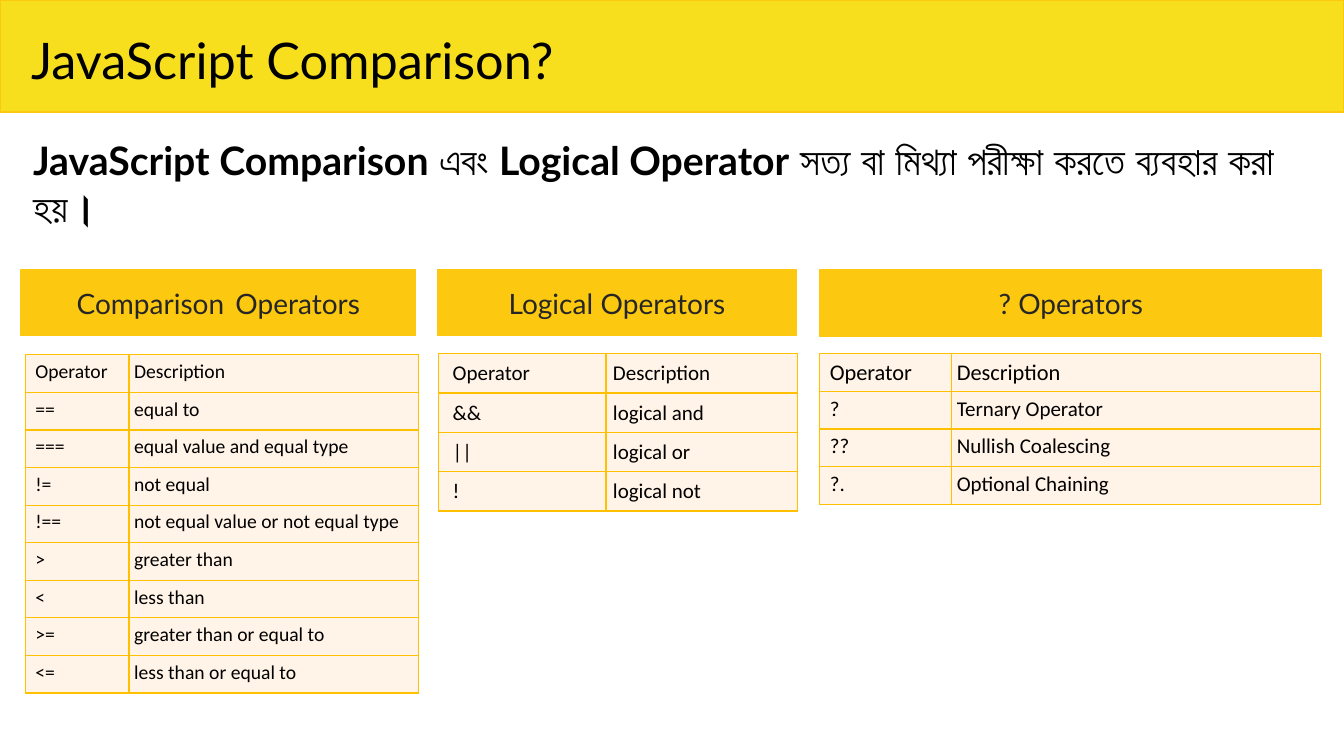
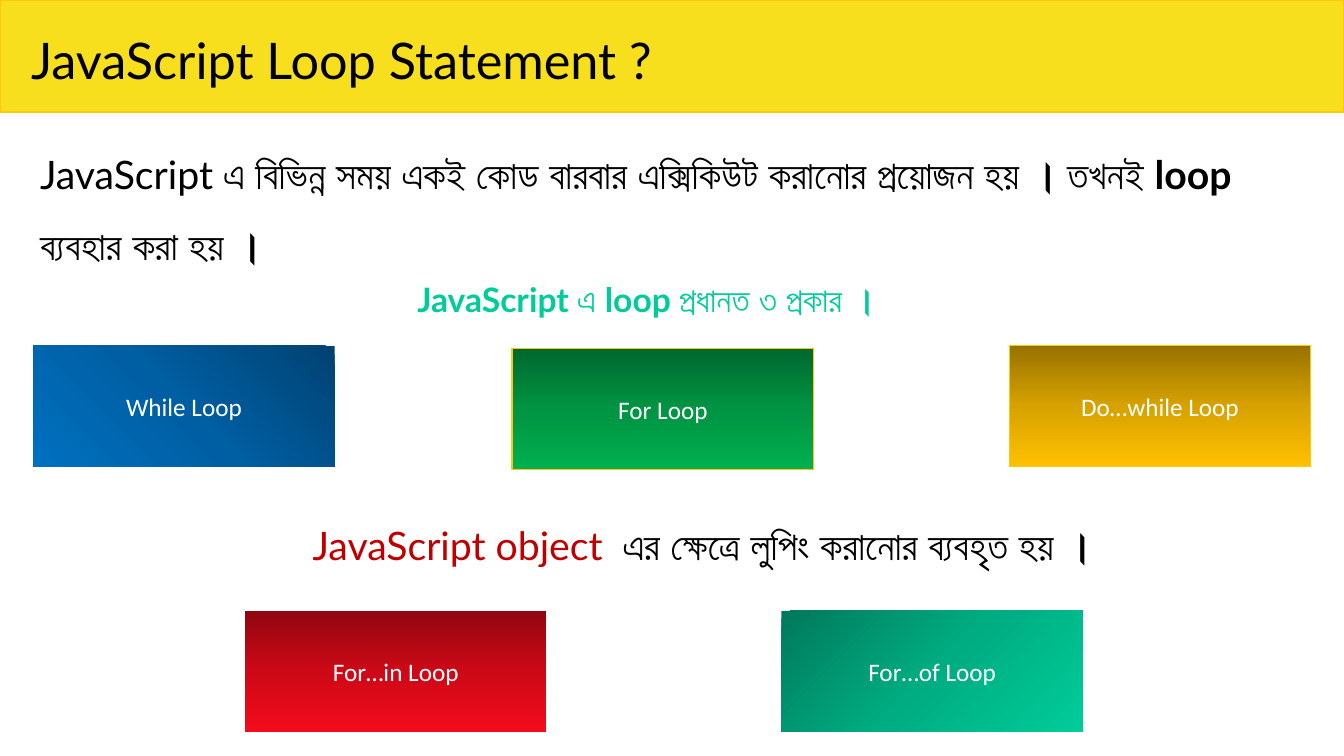
from lxml import etree
from pptx import Presentation
from pptx.dml.color import RGBColor
from pptx.enum.shapes import MSO_SHAPE
from pptx.enum.text import MSO_ANCHOR, MSO_AUTO_SIZE, PP_ALIGN
from pptx.oxml.ns import qn
from pptx.util import Inches, Pt

RECTANGLE = MSO_SHAPE.RECTANGLE
MIDDLE = MSO_ANCHOR.MIDDLE
LEFT, CENTER = PP_ALIGN.LEFT, PP_ALIGN.CENTER
GROW = MSO_AUTO_SIZE.SHAPE_TO_FIT_TEXT

BLACK = RGBColor(0, 0, 0)
WHITE = RGBColor(255, 255, 255)
CHARCOAL = RGBColor(0x26, 0x26, 0x26)
YELLOW = RGBColor(0xF7, 0xDF, 0x1E)
AMBER = RGBColor(0xFD, 0xC9, 0x10)
CREAM = RGBColor(0xFF, 0xF4, 0xE7)
TEAL = RGBColor(0x00, 0xCC, 0x99)
RED = RGBColor(0xC0, 0x00, 0x00)
BORDER = "FFC000"

TITLE = {"name": "Lato", "size": Pt(36), "color": BLACK}
LEAD = {"name": "Lato", "size": Pt(28), "color": BLACK}
STRONG = {**LEAD, "bold": True}
BANGLA = {**LEAD, "name": "Arial"}
STRONG_BANGLA = {**BANGLA, "bold": True}
ACCENT = {**LEAD, "color": RED}
SUBTITLE = {"name": "Lato", "size": Pt(24), "color": TEAL, "bold": True}
HEADING = {"name": "Lato", "size": Pt(20), "color": CHARCOAL}
GAP = {"name": "Calibri", "size": Pt(12), "color": WHITE}
CARD = {"name": "Calibri", "size": Pt(18), "color": WHITE}

COMPARISON_TITLE = "JavaScript Comparison?"
COMPARISON_LEAD = [
    ("JavaScript Comparison", STRONG),
    (" এবং ", STRONG_BANGLA),
    ("Logical Operator", STRONG),
    (" সত্য বা মিথ্যা পরীক্ষা করতে ব্যবহার করা হয়।", STRONG_BANGLA),
]
HEADER = ("Operator", "Description")
# heading runs, heading box, table corner, column widths, row height,
# cell margin, header size, body size, rows
OPERATOR_GROUPS = [
    ([("Comparison", HEADING), ("\u00a0", GAP), (" Operators", HEADING)],
     (0.21, 2.68, 3.91, 0.65), (0.25, 3.52), (1.03, 2.87), 0.373, 0.05, 14, 14,
     [("==", "equal to"), ("===", "equal value and equal type"),
      ("!=", "not equal"), ("!==", "not equal value or not equal type"),
      (">", "greater than"), ("<", "less than"),
      (">=", "greater than or equal to"), ("<=", "less than or equal to")]),
    ([("Logical", HEADING), ("\u00a0\u00a0", GAP), ("Operators", HEADING)],
     (4.34, 2.68, 3.56, 0.65), (4.35, 3.51), (1.66, 1.9), 0.39, 0.07, 15, 15,
     [("&&", "logical and"), ("||", "logical or"), ("!", "logical not")]),
    ([("?\u00a0Operators", HEADING)],
     (8.13, 2.68, 4.98, 0.66), (8.13, 3.51), (1.31, 3.66), 0.373, 0.05, 16, 15,
     [("?", "Ternary Operator"), ("??", "Nullish Coalescing"),
      ("?.", "Optional Chaining")]),
]

LOOP_TITLE = "JavaScript Loop Statement ?"
LOOP_LEAD = [
    ("JavaScript ", LEAD),
    ("এ বিভিন্ন সময় একই কোড বারবার এক্সিকিউট করানোর প্রয়োজন হয় । তখনই ",
     STRONG_BANGLA),
    ("loop ", STRONG),
    ("ব্যবহার করা হয় ।", STRONG_BANGLA),
]
LOOP_KINDS = [("JavaScript এ loop প্রধানত ৩ প্রকার ।", SUBTITLE)]
OBJECT_LEAD = [
    ("JavaScript object  ", ACCENT),
    ("এর ক্ষেত্রে লুপিং করানোর ব্যবহৃত হয় ।", STRONG_BANGLA),
]
CARD_SIZE = (2.99, 1.2)
# label, corner, gradient colours, clockwise angle, outline
LOOP_CARDS = [
    ("While Loop", (0.33, 3.43), ("004272", "005EA2", "0070C0"), 135, None),
    ("For Loop", (5.08, 3.46), ("00682F", "009443", "00B050"), 90, AMBER),
    ("Do…while Loop", (10.01, 3.43), ("977200", "D7A200", "FFC000"), 90, AMBER),
    ("For…in Loop", (2.43, 6.06), ("900610", "CD0917", "F30B1B"), 90, None),
    ("For…of Loop", (7.75, 6.06), ("00795B", "00AC81", "00CC99"), 45, None),
]


def write(frame, runs, align=LEFT, spacing=None):
    """Fill the first paragraph of a frame with formatted runs."""
    para = frame.paragraphs[0]
    para.alignment = align
    if spacing:
        para.line_spacing = spacing
    for text, style in runs:
        span = para.add_run()
        span.text = text
        for key, value in style.items():
            if key == "color":
                span.font.color.rgb = value
            else:
                setattr(span.font, key, value)


def add_text(slide, at, runs, **layout):
    """Add a wrapping text box."""
    box = slide.shapes.add_textbox(*map(Inches, at))
    box.text_frame.word_wrap = True
    box.text_frame.auto_size = GROW
    write(box.text_frame, runs, **layout)


def add_block(slide, at, outline, runs=()):
    """Add a shadowless rectangle with centred text, and return it."""
    block = slide.shapes.add_shape(RECTANGLE, *map(Inches, at))
    block.shadow.inherit = False
    if outline is None:
        block.line.fill.background()
    else:
        block.line.color.rgb = outline
        block.line.width = Pt(1)
    block.text_frame.vertical_anchor = MIDDLE
    write(block.text_frame, runs, CENTER)
    return block


def add_solid(slide, at, color, runs=()):
    """Add an amber-edged rectangle in one colour."""
    block = add_block(slide, at, AMBER, runs)
    block.fill.solid()
    block.fill.fore_color.rgb = color


def add_color(parent, color):
    """Append an RGB colour element."""
    etree.SubElement(parent, qn("a:srgbClr"), val=color)


def add_card(slide, label, corner, colors, angle, outline):
    """Add a loop card with an evenly stepped gradient."""
    card = add_block(slide, corner + CARD_SIZE, outline, [(label, CARD)])
    card.fill.gradient()
    card.fill.gradient_angle = 360 - angle
    stops = card._element.spPr.find(qn("a:gradFill")).find(qn("a:gsLst"))
    for stop in list(stops):
        stops.remove(stop)
    for index, color in enumerate(colors):
        position = 100000 * index // (len(colors) - 1)
        add_color(etree.SubElement(stops, qn("a:gs"), pos=str(position)), color)


def style_cell(cell, margin, first_column):
    """Set the margins, borders and fill of a table cell."""
    left = margin * 2 if first_column else margin
    margins = {"margin_left": left, "margin_right": margin,
               "margin_top": margin, "margin_bottom": margin}
    for key, value in margins.items():
        setattr(cell, key, Inches(value))
    properties = cell._tc.get_or_add_tcPr()
    for side in ("a:lnL", "a:lnR", "a:lnT", "a:lnB"):
        edge = etree.SubElement(properties, qn(side), w=str(Pt(1)))
        add_color(etree.SubElement(edge, qn("a:solidFill")), BORDER)
    cell.fill.solid()
    cell.fill.fore_color.rgb = CREAM


def add_operators(slide, corner, widths, height, margin, sizes, rows):
    """Add a table of operators and their descriptions."""
    rows = [HEADER] + rows
    extent = (sum(widths), height * len(rows))
    table = slide.shapes.add_table(
        len(rows), len(widths), *map(Inches, corner + extent)).table
    table.first_row = table.horz_banding = False
    for column, width in zip(table.columns, widths):
        column.width = Inches(width)
    for row_index, row in enumerate(rows):
        table.rows[row_index].height = Inches(height)
        size = Pt(sizes[min(row_index, 1)])
        style = {"name": "Calibri", "size": size, "color": BLACK}
        for column_index, text in enumerate(row):
            cell = table.cell(row_index, column_index)
            style_cell(cell, margin, column_index == 0)
            write(cell.text_frame, [(text, style)])


def add_slide(deck, title):
    """Add a blank slide with the yellow title band."""
    slide = deck.slides.add_slide(deck.slide_layouts[6])
    add_solid(slide, (0, 0, 13.33, 1.11), YELLOW)
    add_text(slide, (0.21, 0.24, 11.71, 0.71), [(title, TITLE)])
    return slide


def build_comparison(deck):
    """Build the slide of operator tables."""
    slide = add_slide(deck, COMPARISON_TITLE)
    add_text(slide, (0.23, 1.3, 12.51, 1.04), COMPARISON_LEAD)
    for (heading, at, corner, widths, height, margin,
         header_size, body_size, rows) in OPERATOR_GROUPS:
        add_solid(slide, at, AMBER, heading)
        add_operators(slide, corner, widths, height, margin,
                      (header_size, body_size), rows)


def build_loops(deck):
    """Build the slide of loop kinds."""
    slide = add_slide(deck, LOOP_TITLE)
    add_text(slide, (0.3, 1.21, 12.74, 1.46), LOOP_LEAD, spacing=1.5)
    add_text(slide, (4.04, 2.72, 5.21, 0.5), LOOP_KINDS)
    add_text(slide, (0.59, 4.89, 12.74, 0.75), OBJECT_LEAD,
             align=CENTER, spacing=1.5)
    for card in LOOP_CARDS:
        add_card(slide, *card)


deck = Presentation()
deck.slide_width, deck.slide_height = Inches(13.33), Inches(7.5)
build_comparison(deck)
build_loops(deck)
deck.save("out.pptx")
